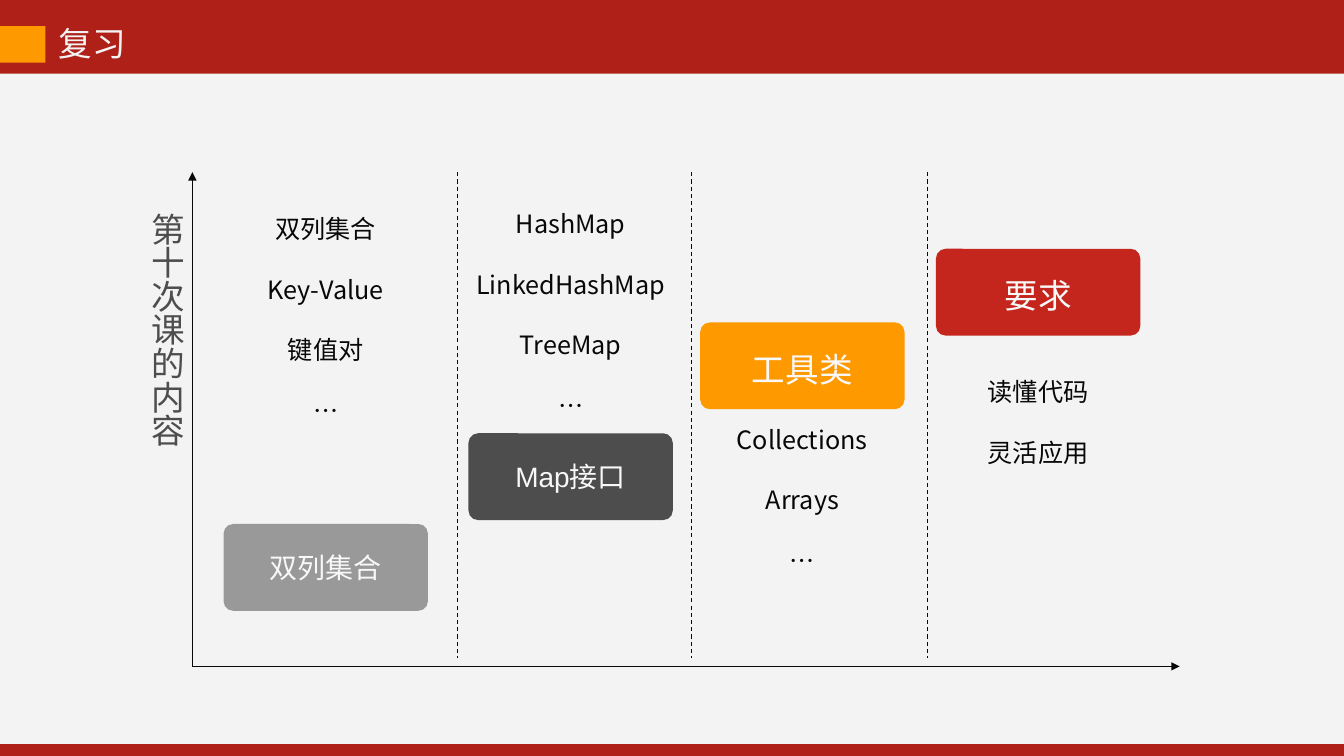
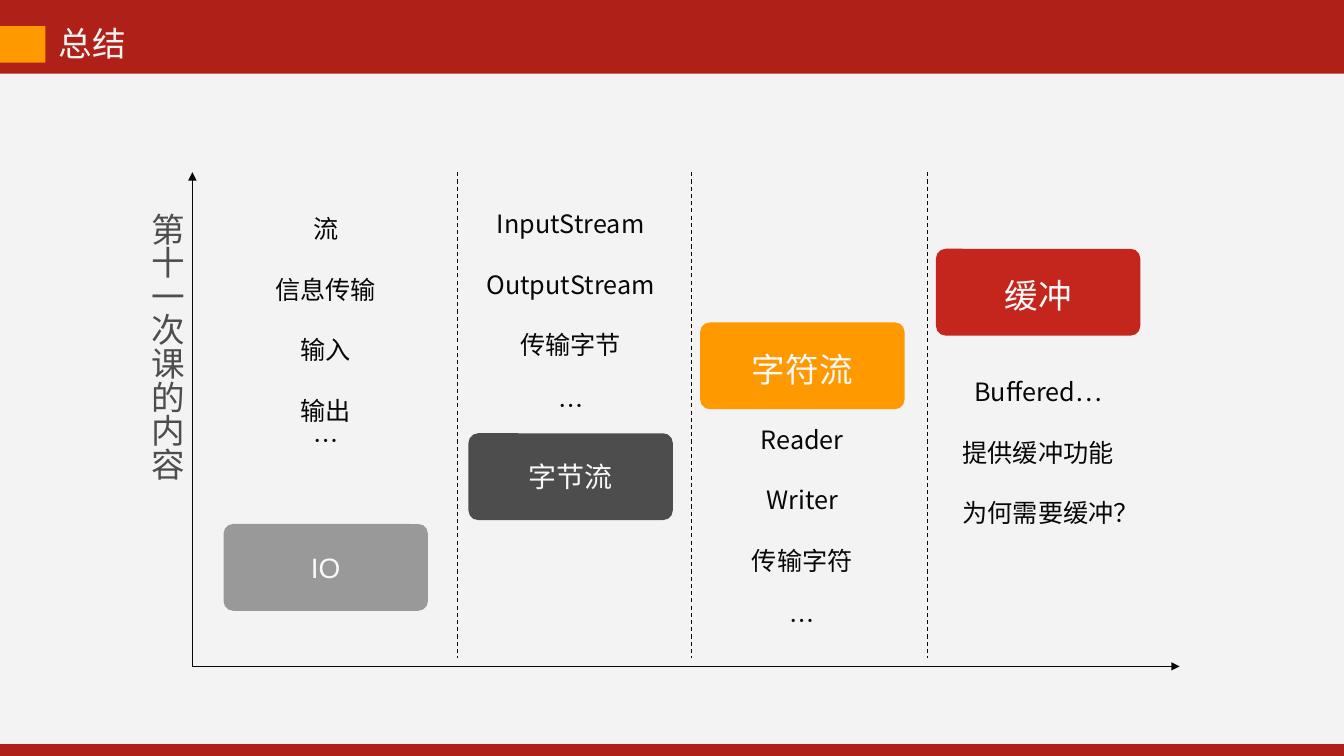
from dataclasses import dataclass

from lxml import etree
from pptx import Presentation
from pptx.dml.color import RGBColor
from pptx.enum import dml, shapes, text
from pptx.oxml.ns import qn
from pptx.util import Pt


@dataclass(frozen=True)
class Theme:
    red: str = "AF2019"
    panel: str = "F3F3F3"
    orange: str = "FF9900"
    ink: str = "080808"
    white: str = "F8F8F8"
    gray: str = "999999"
    dark: str = "4D4D4D"
    bright_red: str = "C4261D"
    cjk: str = "Noto Sans CJK SC"
    latin: str = "Arial"
    head: int = 24
    label: int = 20
    body: int = 18
    leading: float = 1.2


T = Theme()
SLIDE_W, SLIDE_H = 960.48, 540
BADGE_W, BADGE_H = 146, 62
CHART_BOX = (137.5, 123, 705.6, 353)

# Per column, relative to the chart box: badge x, badge y, fill, size, list y, list width
COLUMNS = [
    (22.3, 251.3, T.gray, T.label, 24.5, 164),
    (197.3, 186.5, T.dark, T.label, 21, 164),
    (362.9, 107.3, T.orange, T.head, 175, 124),
    (531.4, 54.7, T.bright_red, T.head, 141, 124),
]
DIVIDERS = (189.4, 356.4, 525.6)

# Title, axis label, then (badge, list items); a line break keeps lines together
SLIDES = [
    ("复习", "第十次课的内容", [
        ("双列集合", ["双列集合", "Key-Value", "键值对", "…"]),
        ("Map接口", ["HashMap", "LinkedHashMap", "TreeMap", "…"]),
        ("工具类", ["Collections", "Arrays", "…"]),
        ("要求", ["读懂代码", "灵活应用"]),
    ]),
    ("总结", "第十一次课的内容", [
        ("IO", ["流", "信息传输", "输入", "输出\n…"]),
        ("字节流", ["InputStream", "OutputStream", "传输字节", "…"]),
        ("字符流", ["Reader", "Writer", "传输字符", "…"]),
        ("缓冲", ["Buffered…", "提供缓冲功能", "为何需要缓冲？"]),
    ]),
]


def pts(*values):
    return [Pt(v) for v in values]


def rgb(color):
    return RGBColor.from_string(color)


def style(p, size, color, font=T.cjk, align=text.PP_ALIGN.LEFT):
    p.alignment = align
    for r in p.runs:
        r.font.size = Pt(size)
        r.font.color.rgb = rgb(color)
        r.font.name = font
        ea = etree.SubElement(r.font._element, qn("a:ea"))
        ea.set("typeface", T.cjk)


def add_box(s, kind, box, color):
    sp = s.shapes.add_shape(kind, *pts(*box))
    sp.shadow.inherit = False
    sp.fill.solid()
    sp.fill.fore_color.rgb = rgb(color)
    sp.line.fill.background()
    return sp


def add_line(s, start, end, arrow=False, dash=False):
    cx = s.shapes.add_connector(shapes.MSO_CONNECTOR.STRAIGHT, *pts(*start, *end))
    cx.line.color.rgb = rgb(T.ink)
    cx.line.width = Pt(0.75)
    if dash:
        cx.line.dash_style = dml.MSO_LINE.DASH
    if arrow:
        etree.SubElement(cx.line._get_or_add_ln(), qn("a:tailEnd")).set("type", "triangle")
    etree.SubElement(cx._element.spPr, qn("a:effectLst"))


def add_frame(s, title):
    # Content panel and title tab over the red background
    rect = shapes.MSO_SHAPE.RECTANGLE
    add_box(s, rect, (0, 52.6, SLIDE_W, 478.8), T.panel)
    add_box(s, rect, (0, 18.7, 32.4, 26), T.orange)
    sp = s.shapes.title
    sp.left, sp.top, sp.width, sp.height = pts(34.6, 11, 400, 40)
    tf = sp.text_frame
    tf.text = title
    tf.auto_size = text.MSO_AUTO_SIZE.NONE
    tf.vertical_anchor = text.MSO_ANCHOR.MIDDLE
    style(tf.paragraphs[0], T.head, T.panel)


def add_badge(s, x, y, label, color, size):
    sp = add_box(s, shapes.MSO_SHAPE.ROUNDED_RECTANGLE, (x, y, BADGE_W, BADGE_H), color)
    sp.adjustments[0] = 0.11
    tf = sp.text_frame
    tf.text = label
    tf.vertical_anchor = text.MSO_ANCHOR.MIDDLE
    if size == T.head:
        tf.margin_top = Pt(7.5)
    style(tf.paragraphs[0], size, T.white, T.latin, text.PP_ALIGN.CENTER)


def add_list(s, x, y, width, items):
    pitch = T.body * T.leading
    lines = "\n".join(items).split("\n")
    sp = s.shapes.add_textbox(*pts(x, y, width, len(lines) * 2 * pitch))
    tf = sp.text_frame
    tf.word_wrap = True
    tf.margin_top = Pt(5)
    tf.text = "\n".join(lines)
    starts = [i == 0 for item in items for i, _ in enumerate(item.split("\n"))]
    for i, (p, starts_item) in enumerate(zip(tf.paragraphs, starts)):
        p.line_spacing = Pt(pitch)
        p.space_before = Pt(pitch if i and starts_item else 0)
        style(p, T.body, T.ink, align=text.PP_ALIGN.CENTER)


def add_axis_label(s, x, y, label):
    sp = s.shapes.add_textbox(*pts(x, y, 44, len(label) * T.head + 27))
    tf = sp.text_frame
    tf.word_wrap = True
    tf.text = label
    tf._txBody.bodyPr.set("vert", "eaVert")
    p = tf.paragraphs[0]
    p.line_spacing = Pt(T.head * T.leading)
    style(p, T.head, T.dark)


def add_chart_area(s, box, axis_label, columns):
    x, y, w, h = box
    # Axes and dashed dividers
    origin = (x, y + h)
    for end in ((x, y), (x + w, y + h)):
        add_line(s, origin, end, arrow=True)
    for dx in DIVIDERS:
        add_line(s, (x + dx, y), (x + dx, y + h - 6), dash=True)
    add_axis_label(s, x - 44, y + 21.7, axis_label)
    # Each list is centred on its badge
    for (bx, by, color, size, ly, lw), (label, items) in zip(COLUMNS, columns):
        add_badge(s, x + bx, y + by, label, color, size)
        add_list(s, x + bx + (BADGE_W - lw) / 2, y + ly, lw, items)


def main():
    prs = Presentation()
    prs.slide_width, prs.slide_height = pts(SLIDE_W, SLIDE_H)
    fill = prs.slide_master.background.fill
    fill.solid()
    fill.fore_color.rgb = rgb(T.red)
    for title, axis_label, columns in SLIDES:
        s = prs.slides.add_slide(prs.slide_layouts[5])
        add_frame(s, title)
        add_chart_area(s, CHART_BOX, axis_label, columns)
    prs.save("out.pptx")


if __name__ == "__main__":
    main()
